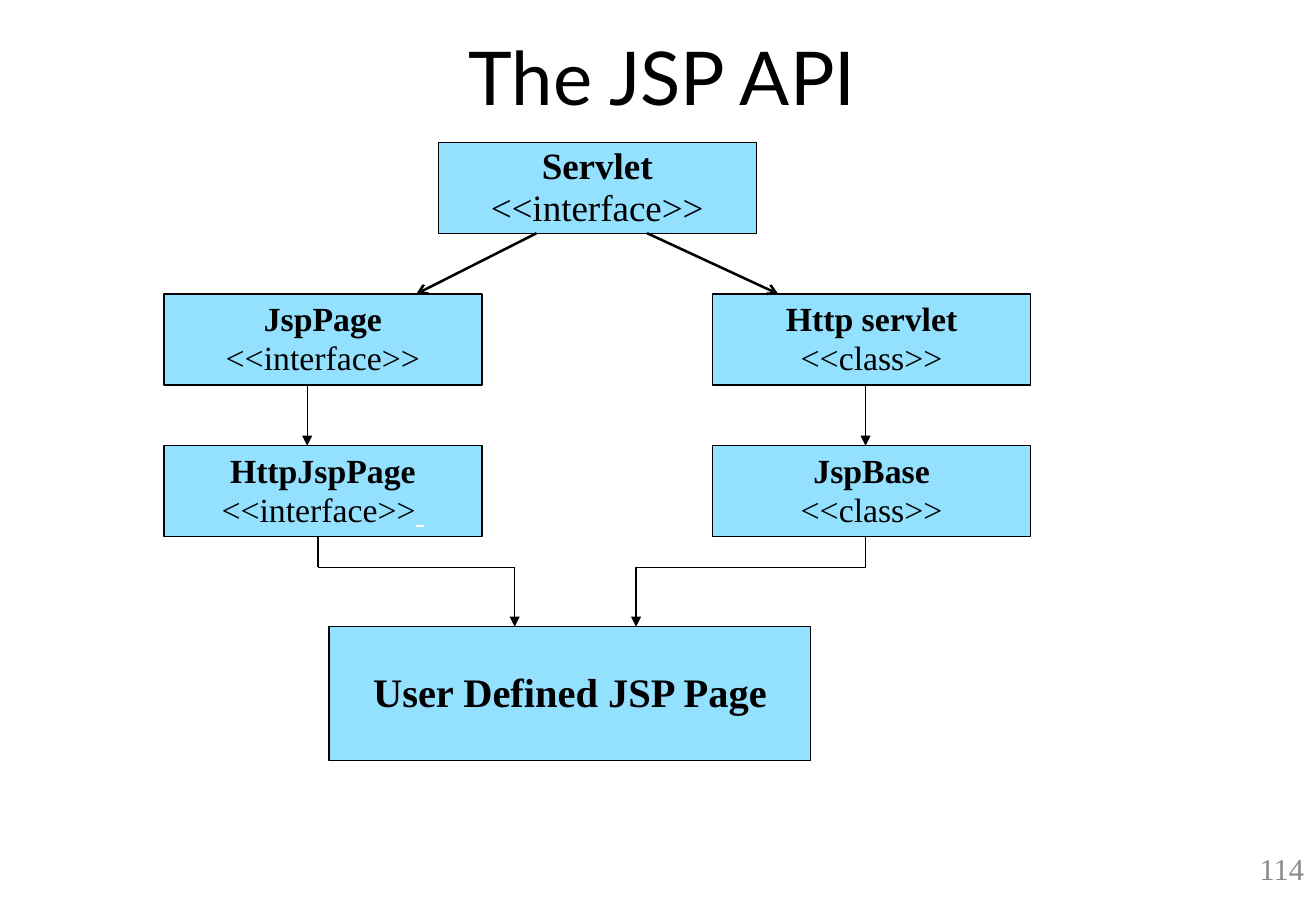
from itertools import pairwise

from lxml.etree import SubElement
from pptx import Presentation
from pptx.dml.color import RGBColor
from pptx.enum.shapes import MSO_CONNECTOR, MSO_SHAPE
from pptx.enum.text import MSO_ANCHOR, PP_ALIGN
from pptx.oxml.ns import qn
from pptx.util import Inches, Pt

SERIF = "Times New Roman"
BOX_WIDTH, BOX_HEIGHT = 2.62, 0.75
LEFT_COLUMN, RIGHT_COLUMN = 1.35, 5.87
TOP_ROW, MIDDLE_ROW, LOWER_ROW = (1.17 + 1.25 * row for row in range(3))
ELBOW_Y, PAGE_TOP = 4.67, 5.16


def color(value):
    """Turn a hex string into a colour."""
    return RGBColor.from_string(value)


def add_run(paragraph, text, size=20, font=SERIF, fill="000000", bold=False, underline=None):
    """Append a formatted run to a paragraph."""
    run = paragraph.add_run()
    run.text = text
    run.font.size = Pt(size)
    run.font.name = font
    run.font.bold = bold
    run.font.underline = underline
    run.font.color.rgb = color(fill)


def add_label(slide, text, left, top, width, height, align=PP_ALIGN.CENTER, spacing=None, **text_format):
    """Add a vertically centred text box."""
    frame = slide.shapes.add_textbox(Inches(left), Inches(top), Inches(width), Inches(height)).text_frame
    frame.word_wrap = True
    frame.vertical_anchor = MSO_ANCHOR.MIDDLE
    paragraph = frame.paragraphs[0]
    paragraph.alignment = align
    paragraph.line_spacing = spacing
    add_run(paragraph, text, **text_format)


def add_box(slide, name, stereotype, left, top, width=BOX_WIDTH, height=BOX_HEIGHT, size=20):
    """Add a type box with a bold name and an optional stereotype line."""
    shape = slide.shapes.add_shape(
        MSO_SHAPE.RECTANGLE, Inches(left), Inches(top), Inches(width), Inches(height))
    shape.shadow.inherit = False
    shape.fill.solid()
    shape.fill.fore_color.rgb = color("93E0FF")
    shape.line.color.rgb = color("000000")
    shape.line.width = Pt(0.75)
    frame = shape.text_frame
    frame.word_wrap = False
    frame.vertical_anchor = MSO_ANCHOR.MIDDLE
    add_run(frame.paragraphs[0], name, size=size, bold=True)
    if stereotype:
        add_run(frame.add_paragraph(), stereotype, size=size)
    for paragraph in frame.paragraphs:
        paragraph.alignment = PP_ALIGN.CENTER
        paragraph.line_spacing = 0.95
    return shape


def add_line(slide, start, end, width=0.75, head=None):
    """Add a straight black line with an optional arrowhead at its end."""
    connector = slide.shapes.add_connector(
        MSO_CONNECTOR.STRAIGHT, *(Inches(value) for value in (*start, *end)))
    connector.line.color.rgb = color("000000")
    connector.line.width = Pt(width)
    if head:
        SubElement(connector.line._get_or_add_ln(), qn("a:tailEnd"), type=head)
    SubElement(connector._element.spPr, qn("a:effectLst"))


def add_route(slide, points):
    """Add a chain of lines that ends in a triangle arrowhead."""
    segments = list(pairwise(points))
    for start, end in segments[:-1]:
        add_line(slide, start, end)
    add_line(slide, *segments[-1], head="triangle")


def main():
    """Build the JSP API slide."""
    presentation = Presentation()
    presentation.slide_width, presentation.slide_height = Inches(10.84), Inches(7.5)
    slide = presentation.slides.add_slide(presentation.slide_layouts[6])

    add_label(slide, "The JSP API", 0.58, 0, 9.75, 1.25, size=44, font="Lato")
    add_label(slide, "114", 8.58, 7, 2.26, 0.33, align=PP_ALIGN.RIGHT, spacing=0.95, size=18, fill="898989")

    add_box(slide, "Servlet", "<<interface>>", 3.61, TOP_ROW, size=22)
    add_box(slide, "JspPage", "<<interface>>", LEFT_COLUMN, MIDDLE_ROW)
    http_jsp_page = add_box(slide, "HttpJspPage", "<<interface>>", LEFT_COLUMN, LOWER_ROW)
    add_run(http_jsp_page.text_frame.paragraphs[1], " ", fill="FFFFFF", underline=True)
    add_box(slide, "Http servlet", "<<class>>", RIGHT_COLUMN, MIDDLE_ROW)
    add_box(slide, "JspBase", "<<class>>", RIGHT_COLUMN, LOWER_ROW)
    add_box(slide, "User Defined JSP Page", None, 2.71, PAGE_TOP, 3.97, 1.1, size=24)

    for start_x, end_x in ((4.42, 3.43), (5.33, 6.41)):
        add_line(slide, (start_x, TOP_ROW + BOX_HEIGHT), (end_x, MIDDLE_ROW), width=1.5, head="arrow")
    for x in (2.53, 7.13):
        add_route(slide, [(x, MIDDLE_ROW + BOX_HEIGHT), (x, LOWER_ROW)])
    for start_x, end_x in ((2.62, 4.24), (7.13, 5.24)):
        add_route(slide, [(start_x, LOWER_ROW + BOX_HEIGHT), (start_x, ELBOW_Y),
                          (end_x, ELBOW_Y), (end_x, PAGE_TOP)])

    presentation.save("out.pptx")


if __name__ == "__main__":
    main()
